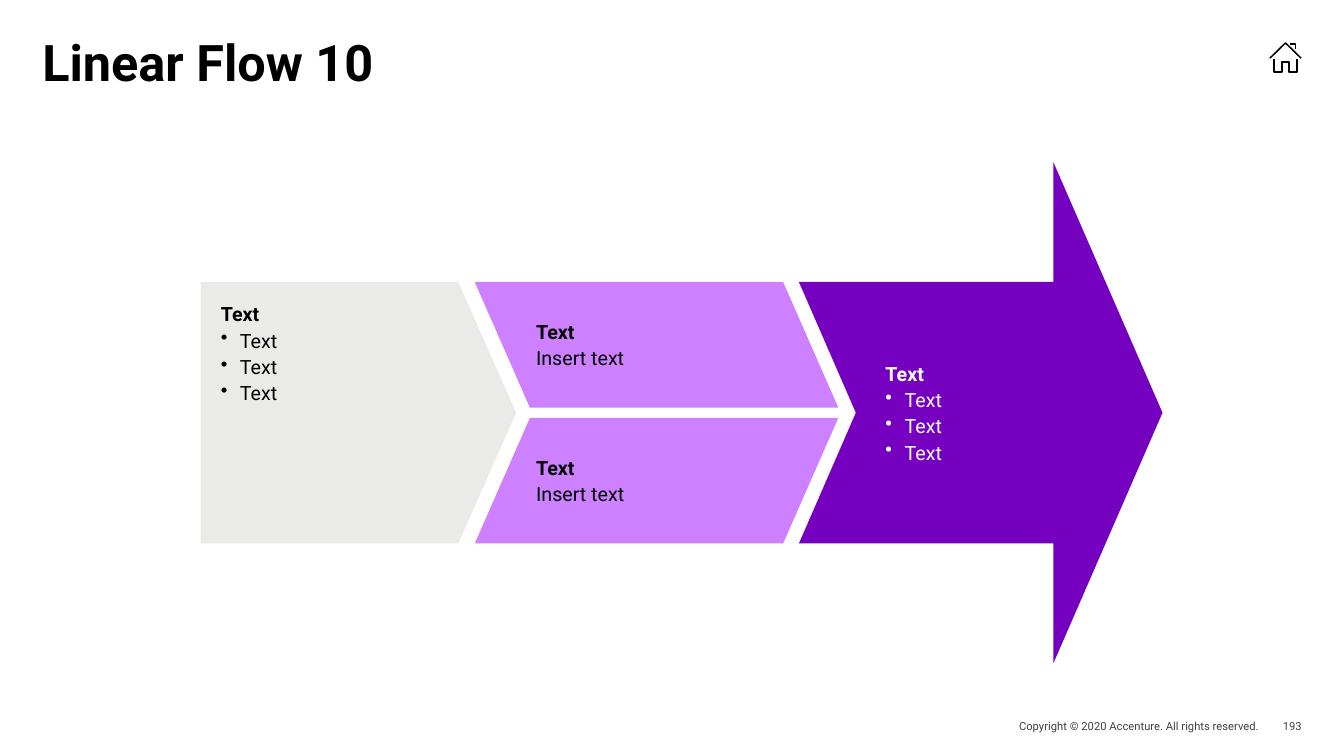
from lxml.etree import SubElement
from pptx import Presentation
from pptx.dml.color import RGBColor
from pptx.enum.shapes import MSO_SHAPE as Shape
from pptx.enum.text import MSO_ANCHOR as Anchor, PP_ALIGN as Align
from pptx.oxml.ns import qn
from pptx.util import Inches, Pt

BLACK = RGBColor(0x00, 0x00, 0x00)
WHITE = RGBColor(0xFF, 0xFF, 0xFF)
SOFT_BLACK = RGBColor(0x40, 0x40, 0x40)
GREY = RGBColor(0xEA, 0xEA, 0xE8)
LILAC = RGBColor(0xCD, 0x80, 0xFF)
PURPLE = RGBColor(0x75, 0x00, 0xC0)

FONT = "Roboto"
WIDTH, HEIGHT = 13.33, 7.5
MARGIN = 0.42
BULLET_INDENT = 0.19
BODY_SHARE = 0.522  # height of the flow's body within the arrow's height


def place(box):
    return [Inches(length) for length in box]


def set_frame(frame, insets=(0, 0, 0, 0), anchor=Anchor.TOP, wrap=True):
    frame.word_wrap = wrap
    frame.vertical_anchor = anchor
    (frame.margin_left, frame.margin_top,
     frame.margin_right, frame.margin_bottom) = place(insets)


def format_runs(para, size, color, bold=False):
    for span in para.runs:
        span.font.name = FONT
        span.font.size = Pt(size)
        span.font.bold = bold
        span.font.color.rgb = color


def add_bullet(para):
    properties = para._p.get_or_add_pPr()
    properties.set("marL", str(Inches(BULLET_INDENT)))
    properties.set("indent", str(-Inches(BULLET_INDENT)))
    SubElement(properties, qn("a:buChar")).set("char", "•")


def write_block(frame, heading, lines, color, bulleted=False):
    """A bold heading followed by plain or bulleted lines."""
    frame.text = "\n".join([heading, *lines])
    for index, para in enumerate(frame.paragraphs):
        para.alignment = Align.LEFT
        para.space_before = Pt(1 if index else 0)
        para.space_after = Pt(1)
        if bulleted and index:
            add_bullet(para)
        format_runs(para, 14, color, bold=index == 0)


def add_block_shape(page, kind, box, fill, adjustments):
    shape = page.shapes.add_shape(kind, *place(box))
    shape.shadow.inherit = False
    shape.fill.solid()
    shape.fill.fore_color.rgb = fill
    shape.line.fill.background()
    for index, value in enumerate(adjustments):
        shape.adjustments[index] = value
    return shape


def add_title(page, box, text):
    title = page.shapes.title
    title.left, title.top, title.width, title.height = place(box)
    set_frame(title.text_frame)
    title.text_frame.text = text
    para = title.text_frame.paragraphs[0]
    para.alignment = Align.LEFT
    para.line_spacing = 0.8
    format_runs(para, 36, BLACK, bold=True)


def add_home_icon(page, box):
    """Roof, walls with door, and chimney as shares of the icon's box."""
    left, top, width, height = box
    strokes = [
        [(0.02, 0.52), (0.5, 0.02), (0.98, 0.52)],
        [(0.14, 0.54), (0.14, 0.98), (0.39, 0.98), (0.39, 0.66),
         (0.61, 0.66), (0.61, 0.98), (0.86, 0.98), (0.86, 0.54)],
        [(0.65, 0.05), (0.81, 0.05), (0.81, 0.22)],
    ]
    for stroke in strokes:
        points = [(Inches(left + x * width), Inches(top + y * height))
                  for x, y in stroke]
        builder = page.shapes.build_freeform(*points[0])
        builder.add_line_segments(points[1:], close=False)
        line = builder.convert_to_shape()
        line.shadow.inherit = False
        line.fill.background()
        line.line.color.rgb = BLACK
        line.line.width = Pt(1.1)


def add_flow(page, box):
    left, top, width, height = box
    body_height = height * BODY_SHARE
    body_top = top + (height - body_height) / 2
    bullets = ["Text"] * 3

    # Starting step
    start = add_block_shape(
        page, Shape.PENTAGON,
        (left, body_top, width * 0.328, body_height), GREY, [0.221])
    set_frame(start.text_frame, (0.2, 0.2, 0.08, 0.08))
    write_block(start.text_frame, "Text", bullets, BLACK, bulleted=True)

    # Two mirrored middle steps
    gap = 0.1
    step_height = (body_height - gap) / 2
    for row in range(2):
        step_top = body_top + row * (step_height + gap)
        step = add_block_shape(
            page, Shape.PARALLELOGRAM,
            (left + width * 0.285, step_top, width * 0.378, step_height),
            LILAC, [0.439])
        if row == 0:
            step._element.spPr.xfrm.set("flipH", "1")
        set_frame(step.text_frame, [0.08] * 4, Anchor.MIDDLE, wrap=False)
        write_block(step.text_frame, "Text", ["Insert text"], BLACK)

    # Closing arrow and its text
    arrow_width = width * 0.378
    add_block_shape(
        page, Shape.NOTCHED_RIGHT_ARROW,
        (left + width - arrow_width, top, arrow_width, height),
        PURPLE, [BODY_SHARE, 0.3])
    result = page.shapes.add_textbox(*place(
        (left + width * 0.691, body_top, width * 0.257, body_height)))
    set_frame(result.text_frame, (0.2, 0.2, 0.16, 0.2), Anchor.MIDDLE)
    write_block(result.text_frame, "Text", bullets, WHITE, bulleted=True)


def add_footer(page, box):
    left, top, width, height = box
    number_width = 0.42
    split = width - number_width
    parts = [
        ("Copyright © 2020 Accenture. All rights reserved.", left, split),
        ("193", left + split, number_width),
    ]
    for text, part_left, part_width in parts:
        part = page.shapes.add_textbox(
            *place((part_left, top, part_width, height)))
        set_frame(part.text_frame, anchor=Anchor.MIDDLE)
        part.text_frame.text = text
        para = part.text_frame.paragraphs[0]
        para.alignment = Align.RIGHT
        format_runs(para, 8, SOFT_BLACK)


def main():
    deck = Presentation()
    deck.slide_width, deck.slide_height = Inches(WIDTH), Inches(HEIGHT)
    page = deck.slides.add_slide(deck.slide_layouts[5])
    right = WIDTH - MARGIN

    add_title(page, (MARGIN, MARGIN, right - MARGIN, 1.08), "Linear Flow 10")
    add_home_icon(page, (right - 0.32, MARGIN, 0.32, 0.3))
    add_flow(page, (1.99, 1.61, 9.54, 4.97))
    add_footer(page, (right - 3.82, 7.09, 3.82, 0.22))
    deck.save("out.pptx")


if __name__ == "__main__":
    main()
